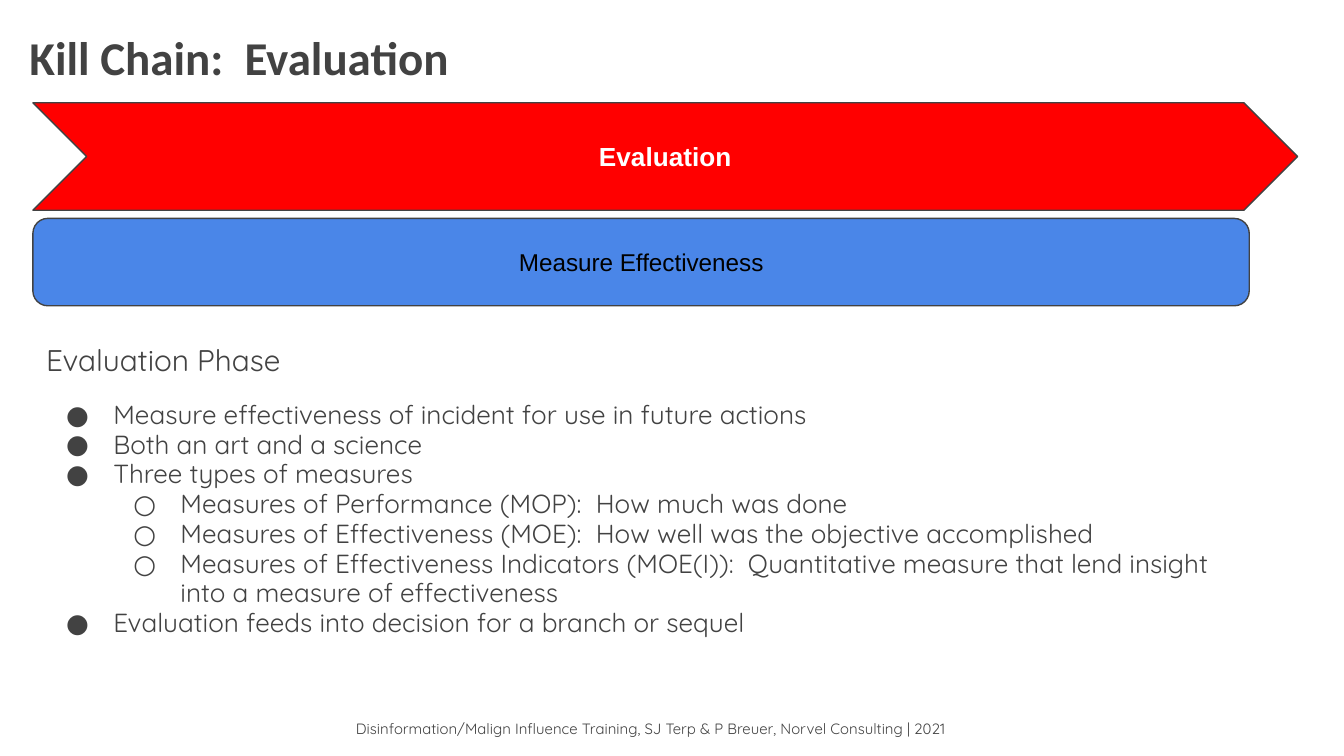
from typing import NamedTuple, Optional

from lxml import etree
from pptx import Presentation
from pptx import util as u
from pptx.dml.color import RGBColor
from pptx.enum import shapes, text
from pptx.oxml.ns import qn

EMU_PER_PX = 4572  # 200 px to the inch

GREY = RGBColor(0x42, 0x42, 0x42)
RED = RGBColor(0xFF, 0x00, 0x00)
BLUE = RGBColor(0x4A, 0x86, 0xE8)
WHITE = RGBColor(0xFF, 0xFF, 0xFF)
BLACK = RGBColor(0x00, 0x00, 0x00)

LEFT, CENTER = text.PP_ALIGN.LEFT, text.PP_ALIGN.CENTER
TOP, MIDDLE = text.MSO_ANCHOR.TOP, text.MSO_ANCHOR.MIDDLE
BODY_FONT = "Quicksand"
BULLETS = ("●", "○")


class Area(NamedTuple):
    left: int
    top: int
    width: int
    height: int


class Style(NamedTuple):
    font: str
    size: float
    color: RGBColor = GREY
    bold: bool = False


class Banner(NamedTuple):
    label: str
    area: Area
    preset: shapes.MSO_SHAPE
    adjustment: float
    fill: RGBColor
    style: Style


class Line(NamedTuple):
    words: str
    level: Optional[int] = 0  # None for a line without a bullet
    size: int = 14
    space_before: int = 0


BANNERS = [
    Banner("Evaluation", Area(49, 153, 1882, 160), shapes.MSO_SHAPE.CHEVRON,
           0.5, RED, Style("Arial", 14, WHITE, True)),
    Banner("Measure Effectiveness", Area(49, 325, 1810, 130),
           shapes.MSO_SHAPE.ROUNDED_RECTANGLE, 0.17, BLUE,
           Style("Arial", 13, BLACK)),
]

BODY = [
    Line("Evaluation Phase", None, 16),
    Line("Measure effectiveness of incident for use in future actions",
         space_before=12),
    Line("Both an art and a science"),
    Line("Three types of measures"),
    Line("Measures of Performance (MOP):  How much was done", 1),
    Line("Measures of Effectiveness (MOE):  How well was the objective "
         "accomplished", 1),
    Line("Measures of Effectiveness Indicators (MOE(I)):  Quantitative "
         "measure that lend insight into a measure of effectiveness", 1),
    Line("Evaluation feeds into decision for a branch or sequel"),
]


def px(length: int) -> u.Emu:
    return u.Emu(length * EMU_PER_PX)


def prepare_frame(box, anchor):
    frame = box.text_frame
    frame.word_wrap = True
    frame.vertical_anchor = anchor
    frame.margin_left = frame.margin_right = px(20)
    frame.margin_top = frame.margin_bottom = px(20)
    return frame


def add_span(para, words: str, style: Style) -> None:
    span = para.add_run()
    span.text = words
    span.font.name = style.font
    span.font.size = u.Pt(style.size)
    span.font.bold = style.bold
    span.font.color.rgb = style.color


def add_label(page, words: str, area: Area, style: Style, align=LEFT) -> None:
    box = page.shapes.add_textbox(*map(px, area))
    para = prepare_frame(box, TOP).paragraphs[0]
    para.alignment = align
    add_span(para, words, style)


def add_banner(page, banner: Banner) -> None:
    box = page.shapes.add_shape(banner.preset, *map(px, banner.area))
    box.adjustments[0] = banner.adjustment
    box.shadow.inherit = False
    box.fill.solid()
    box.fill.fore_color.rgb = banner.fill
    box.line.color.rgb = GREY
    box.line.width = u.Pt(0.75)
    para = prepare_frame(box, MIDDLE).paragraphs[0]
    para.alignment = CENTER
    add_span(para, banner.label, banner.style)


def add_bullet(para, level: int, size: int) -> None:
    para.level = level
    props = para._p.get_or_add_pPr()
    props.set("marL", str(px(100 * (level + 1))))
    props.set("indent", str(px(-70)))
    color = etree.SubElement(props, qn("a:buClr"))
    etree.SubElement(color, qn("a:srgbClr"), val=str(GREY))
    etree.SubElement(props, qn("a:buSzPts"), val=str(size * 100))
    etree.SubElement(props, qn("a:buFont"), typeface=BODY_FONT)
    etree.SubElement(props, qn("a:buChar"), char=BULLETS[level])


def add_body(page, lines: list[Line], area: Area) -> None:
    box = page.shapes.add_textbox(*map(px, area))
    frame = prepare_frame(box, TOP)
    for index, line in enumerate(lines):
        para = frame.add_paragraph() if index else frame.paragraphs[0]
        para.line_spacing = 0.95
        para.space_before = u.Pt(line.space_before)
        if line.level is not None:
            add_bullet(para, line.level, line.size)
        add_span(para, line.words, Style(BODY_FONT, line.size))


def main() -> None:
    deck = Presentation()
    deck.slide_width, deck.slide_height = px(2000), px(1125)
    page = deck.slides.add_slide(deck.slide_layouts[6])

    # Footer and title
    add_label(page, "Disinformation/Malign Influence Training, SJ Terp & "
              "P Breuer, Norvel Consulting | 2021",
              Area(344, 1058, 1250, 68), Style(BODY_FONT, 8), CENTER)
    add_label(page, "Kill Chain:  Evaluation", Area(24, 22, 1798, 130),
              Style("Calibri", 25.2, bold=True))

    # Explanation of the phase
    add_body(page, BODY, Area(49, 492, 1774, 500))

    # Phase and its step
    for banner in BANNERS:
        add_banner(page, banner)

    deck.save("out.pptx")


if __name__ == "__main__":
    main()
